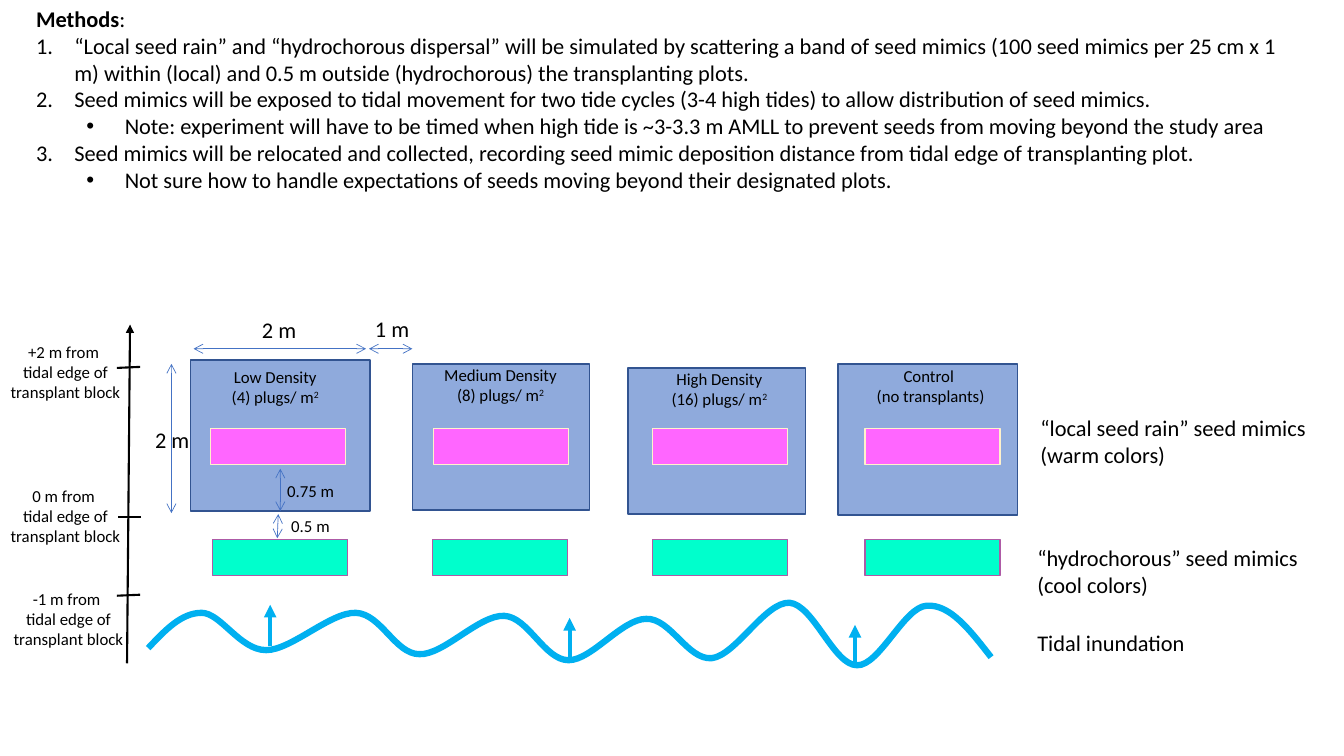
from lxml.etree import SubElement
from pptx import Presentation
from pptx.dml.color import RGBColor
from pptx.enum.shapes import MSO_CONNECTOR, MSO_SHAPE
from pptx.enum.text import MSO_AUTO_SIZE, PP_ALIGN
from pptx.oxml.ns import qn
from pptx.util import Inches, Pt

# Content
METHODS = [  # (kind, text)
    ("heading", "Methods"),
    ("number", "“Local seed rain” and “hydrochorous dispersal” will be simulated by scattering a band of "
               "seed mimics (100 seed mimics per 25 cm x 1 m) within (local) and 0.5 m outside "
               "(hydrochorous) the transplanting plots. "),
    ("number", "Seed mimics will be exposed to tidal movement for two tide cycles (3-4 high tides) to "
               "allow distribution of seed mimics. "),
    ("bullet", "Note: experiment will have to be timed when high tide is ~3-3.3 m AMLL to prevent seeds "
               "from moving beyond the study area"),
    ("number", "Seed mimics will be relocated and collected, recording seed mimic deposition distance "
               "from tidal edge of transplanting plot."),
    ("bullet", "Not sure how to handle expectations of seeds moving beyond their designated plots. "),
]
PLOTS = [  # plot box, left of cool band, left of warm band, label box, label lines
    ((1.89, 3.57, 1.78, 1.5), 2.11, 2.09, (2.19, 3.59, 1.08, 0.5), ["Low Density", "(4) plugs/ m^2"]),
    ((4.09, 3.61, 1.76, 1.45), 4.29, 4.3, (4.3, 3.57, 1.33, 0.5), ["Medium Density", "(8) plugs/ m^2"]),
    ((6.23, 3.65, 1.76, 1.45), 6.47, 6.47, (6.55, 3.61, 1.17, 0.5), ["High Density", "(16) plugs/ m^2"]),
    ((8.31, 3.61, 1.78, 1.5), 8.58, 8.58, (8.59, 3.58, 1.28, 0.5), ["Control ", "(no transplants)"]),
]
DIMENSIONS = [  # label, size, label box, arrow start, arrow end
    ("2 m", 16, (2.5, 3.09, 0.55, 0.37), (1.92, 3.46), (3.63, 3.46)),
    ("2 m", 16, (1.44, 4.18, 0.55, 0.37), (1.7, 5.09), (1.7, 3.61)),
    ("1 m", 16, (3.62, 3.08, 0.55, 0.37), (3.66, 3.46), (4.09, 3.46)),
    ("0.75 m", 12, (2.75, 4.72, 0.68, 0.3), (2.78, 4.65), (2.78, 5.07)),
    ("0.5 m", 12, (2.79, 5.07, 0.59, 0.3), (2.76, 5.1), (2.75, 5.34)),
]
TIDE_LABEL = (["Tidal inundation"], (10.19, 6.19, 1.68, 0.37))
SEED_LABELS = [
    (["“hydrochorous” seed mimics", "(cool colors)"], (10.19, 5.35, 2.82, 0.64)),
    (["“local seed rain” seed mimics", "(warm colors)"], (10.22, 4.06, 2.87, 0.64)),
]
ELEVATIONS = [  # distance, label left, label top, tick start, tick end
    ("0 m", 0, 4.77, (1.4, 5.13), (1.17, 5.13)),
    ("+2 m", 0, 3.34, (1.39, 3.64), (1.16, 3.65)),
    ("-1 m", 0.03, 5.79, (1.39, 5.9), (1.16, 5.91)),
]
TIDE_ARROWS = [(5.65, 6.54), (8.48, 6.61), (2.68, 6.41)]  # bottom ends
TIDE_START = (1.47, 6.43)
TIDE_CURVES = [  # two control points and the end of each Bezier curve
    ((1.64, 6.25), (1.8, 6.08), (2, 6.08)), ((2.19, 6.08), (2.38, 6.45), (2.64, 6.45)),
    ((2.89, 6.45), (3.28, 6.07), (3.53, 6.08)), ((3.78, 6.09), (3.92, 6.49), (4.16, 6.49)),
    ((4.4, 6.5), (4.75, 6.1), (5, 6.11)), ((5.24, 6.12), (5.4, 6.55), (5.64, 6.55)),
    ((5.87, 6.55), (6.17, 6.14), (6.41, 6.14)), ((6.65, 6.13), (6.82, 6.55), (7.06, 6.53)),
    ((7.3, 6.5), (7.59, 5.97), (7.83, 5.98)), ((8.07, 6), (8.27, 6.6), (8.5, 6.6)),
    ((8.72, 6.61), (8.97, 6.02), (9.19, 6.01)), ((9.42, 5.99), (9.62, 6.25), (9.83, 6.52)),
]
BLACK, TIDE, DIMENSION = "000000", "00B0F0", "4472C4"
PLOT, WARM, COOL = ("8FAADC", "325491"), ("FF66FF", "FFF2CC"), ("00FFCC", "AE5AA6")
BAND_SIZE, WARM_TOP, COOL_TOP = (1.34, 0.36), 4.25, 5.35

prs = Presentation()
prs.slide_width, prs.slide_height = Inches(13.33), Inches(7.5)
slide = prs.slides.add_slide(prs.slide_layouts[6])


def color(hex_code):
    return RGBColor.from_string(hex_code)


def add_run(paragraph, text, size=16, bold=False, superscript=False):
    run = paragraph.add_run()
    run.text = text
    run.font.name, run.font.size, run.font.bold = "Calibri", Pt(size), bold
    run.font.color.rgb = color(BLACK)
    if superscript:
        run._r.get_or_add_rPr().set("baseline", "30000")


def add_text(lines, box, size=16, align=PP_ALIGN.LEFT, wrap=False, parent=slide):
    """Text box with one paragraph a line; ^ starts a superscript."""
    frame = parent.shapes.add_textbox(*map(Inches, box)).text_frame
    frame.word_wrap = wrap
    frame.auto_size = MSO_AUTO_SIZE.SHAPE_TO_FIT_TEXT
    for i, line in enumerate(lines):
        paragraph = frame.paragraphs[0] if i == 0 else frame.add_paragraph()
        paragraph.alignment = align
        base, _, raised = line.partition("^")
        add_run(paragraph, base, size)
        if raised:
            add_run(paragraph, raised, size, superscript=True)
    return frame


def add_box(box, colors, parent):
    rect = parent.shapes.add_shape(MSO_SHAPE.RECTANGLE, *map(Inches, box))
    rect.shadow.inherit = False
    rect.fill.solid()
    rect.fill.fore_color.rgb = color(colors[0])
    rect.line.color.rgb = color(colors[1])
    rect.line.width = Pt(1)


def add_line(start, end, line_color, width, head=None, tail=None, parent=slide):
    line = parent.shapes.add_connector(MSO_CONNECTOR.STRAIGHT, *map(Inches, start + end))
    line.line.color.rgb = color(line_color)
    line.line.width = Pt(width)
    for tag, kind in (("a:headEnd", head), ("a:tailEnd", tail)):
        if kind:
            SubElement(line.line._get_or_add_ln(), qn(tag), type=kind)
    SubElement(line._element.spPr, qn("a:effectLst"))


def add_curve(start, curves, line_color, width):
    """Open Bezier outline: every three straight segments become one curve."""
    builder = slide.shapes.build_freeform(*map(Inches, start))
    builder.add_line_segments([tuple(map(Inches, p)) for curve in curves for p in curve], close=False)
    outline = builder.convert_to_shape()
    segments = list(outline._element.iter(qn("a:lnTo")))
    for i in range(0, len(segments), 3):
        curve = SubElement(segments[i].getparent(), qn("a:cubicBezTo"))
        for segment in segments[i:i + 3]:
            curve.append(segment[0])
            segment.getparent().remove(segment)
    outline.shadow.inherit = False
    outline.fill.background()
    outline.line.color.rgb = color(line_color)
    outline.line.width = Pt(width)


# Tidal wave, its label and arrows
add_curve(TIDE_START, TIDE_CURVES, TIDE, 4.5)
add_text(*TIDE_LABEL)
for x, y in TIDE_ARROWS:
    add_line((x, y), (x, y - 0.41), TIDE, 3, tail="triangle")

# Methods list
methods = add_text([text for _, text in METHODS], (0.26, 0, 12.53, 1.99), wrap=True)
for (kind, _), paragraph in zip(METHODS, methods.paragraphs):
    if kind == "heading":
        paragraph.runs[0].font.bold = True
        add_run(paragraph, ": ")
        continue
    paragraph.level = 1 if kind == "bullet" else 0
    props = paragraph._p.get_or_add_pPr()
    props.set("marL", str(Inches(0.88 if kind == "bullet" else 0.38)))
    props.set("indent", str(Inches(-0.38)))
    if kind == "bullet":
        SubElement(props, qn("a:buFont"), typeface="Arial")
        SubElement(props, qn("a:buChar"), char="•")
    else:
        SubElement(props, qn("a:buFont"), typeface="+mj-lt")
        SubElement(props, qn("a:buAutoNum"), type="arabicPeriod")

# Plots with their seed bands
layout = slide.shapes.add_group_shape()
for plot, cool_left, warm_left, label_box, label in PLOTS:
    add_box(plot, PLOT, layout)
    add_box((cool_left, COOL_TOP) + BAND_SIZE, COOL, layout)
    add_box((warm_left, WARM_TOP) + BAND_SIZE, WARM, layout)
    add_text(label, label_box, size=12, align=PP_ALIGN.CENTER, parent=layout)

# Dimensions and seed labels
for label, size, box, start, end in DIMENSIONS:
    add_line(start, end, DIMENSION, 0.5, head="arrow", tail="arrow", parent=layout)
    add_text([label], box, size=size, parent=layout)
for lines, box in SEED_LABELS:
    add_text(lines, box, parent=layout)

# Elevation axis
axis = slide.shapes.add_group_shape()
add_line((1.26, 6.58), (1.29, 3.22), BLACK, 1.5, tail="triangle", parent=axis)
for distance, left, top, start, end in ELEVATIONS:
    add_line(start, end, BLACK, 1.5, parent=axis)
    add_text([distance + " from ", "tidal edge of", "transplant block"], (left, top, 1.3, 0.71),
             size=12, align=PP_ALIGN.CENTER)

prs.save("out.pptx")
